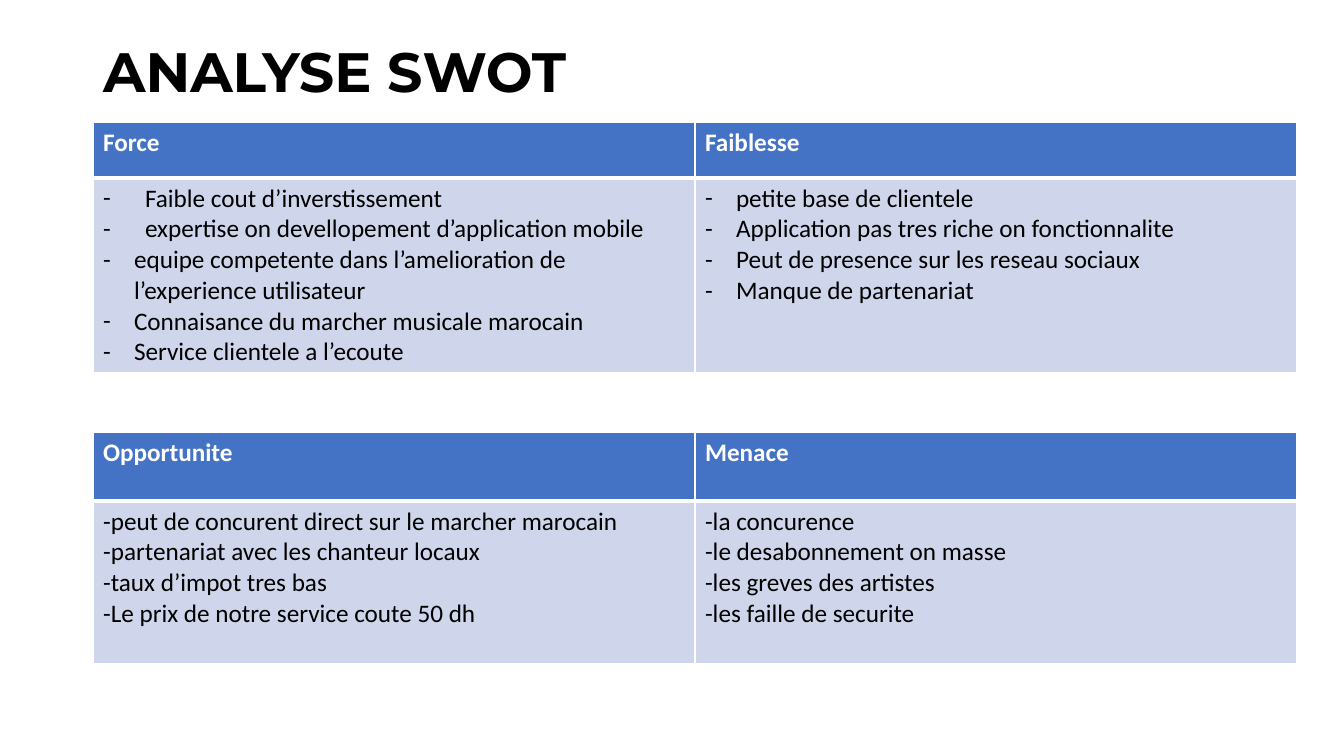
from lxml import etree
from pptx import Presentation
from pptx.dml.color import RGBColor
from pptx.enum.text import MSO_ANCHOR, PP_ALIGN
from pptx.oxml.ns import qn
from pptx.util import Pt

MIDDLE = MSO_ANCHOR.MIDDLE
LEFT = PP_ALIGN.LEFT
EMU_PER_PX = 914400 / 100.8
TITLE_ONLY = 5

WHITE, BLACK = "FFFFFF", "000000"
HEADER_BLUE, BODY_BLUE = "4472C4", "CFD5EA"

TABLE_LEFT = 93
COLUMN_WIDTH = 602
DASH_INDENT = 31
WIDE_DASH_INDENT = 42

# Each quadrant: heading, then (text, hanging indent of its dash bullet or 0)
FORCE = ("Force", [
    ("Faible cout d’inverstissement", WIDE_DASH_INDENT),
    ("expertise on devellopement d’application mobile", WIDE_DASH_INDENT),
    ("equipe competente dans l’amelioration de l’experience utilisateur", DASH_INDENT),
    ("Connaisance du marcher musicale marocain", DASH_INDENT),
    ("Service clientele a l’ecoute", DASH_INDENT),
])
FAIBLESSE = ("Faiblesse", [
    ("petite base de clientele", DASH_INDENT),
    ("Application pas tres riche on fonctionnalite", DASH_INDENT),
    ("Peut de presence sur les reseau sociaux", DASH_INDENT),
    ("Manque de partenariat", DASH_INDENT),
])
OPPORTUNITE = ("Opportunite", [
    ("-peut de concurent direct sur le marcher marocain", 0),
    ("-partenariat avec les chanteur locaux", 0),
    ("-taux d’impot tres bas", 0),
    ("-Le prix de notre service coute 50 dh", 0),
])
MENACE = ("Menace", [
    ("-la concurence", 0),
    ("-le desabonnement on masse", 0),
    ("-les greves des artistes", 0),
    ("-les faille de securite", 0),
])


def px(length):
    return round(length * EMU_PER_PX)


def color(hex_string):
    return RGBColor.from_string(hex_string)


def write(para, text, size=18, font="Calibri", fill=BLACK, bold=False, indent=0):
    """Fill a paragraph; an indent gives it a hanging dash bullet."""
    para.alignment = LEFT
    span = para.add_run()
    span.text = text
    span.font.size = Pt(size)
    span.font.name = font
    span.font.bold = bold
    span.font.color.rgb = color(fill)
    if indent:
        properties = para._p.get_or_add_pPr()
        properties.set("marL", str(px(indent)))
        properties.set("indent", str(-px(indent)))
        etree.SubElement(properties, qn("a:buFont")).set("typeface", font)
        etree.SubElement(properties, qn("a:buChar")).set("char", "-")


def add_title(page, text):
    title = page.shapes.title
    title.left, title.top, title.width, title.height = map(px, (93, 40, 1159, 69))
    title.text_frame.vertical_anchor = MIDDLE
    para = title.text_frame.paragraphs[0]
    para.line_spacing = 0.9
    write(para, text, size=39.6, font="Montserrat", bold=True)


def style_cell(cell, fill, top=1, bottom=1):
    """White borders, with widths in points, and a solid fill."""
    properties = cell._tc.get_or_add_tcPr()
    for side, width in (("L", 1), ("R", 1), ("T", top), ("B", bottom)):
        line = etree.SubElement(properties, qn(f"a:ln{side}"), w=str(Pt(width)))
        solid = etree.SubElement(line, qn("a:solidFill"))
        etree.SubElement(solid, qn("a:srgbClr")).set("val", WHITE)
    cell.fill.solid()
    cell.fill.fore_color.rgb = color(fill)


def add_quadrants(page, top, row_heights, quadrants):
    frame = page.shapes.add_table(
        2, len(quadrants), px(TABLE_LEFT), px(top),
        px(COLUMN_WIDTH * len(quadrants)), px(sum(row_heights)))
    table = frame.table
    for row, height in zip(table.rows, row_heights):
        row.height = px(height)

    for index, (heading, points) in enumerate(quadrants):
        table.columns[index].width = px(COLUMN_WIDTH)
        header, body = table.cell(0, index), table.cell(1, index)
        style_cell(header, HEADER_BLUE, bottom=3)
        style_cell(body, BODY_BLUE, top=3)
        write(header.text_frame.paragraphs[0], heading, fill=WHITE, bold=True)
        for number, (text, indent) in enumerate(points):
            box = body.text_frame
            para = box.add_paragraph() if number else box.paragraphs[0]
            write(para, text, indent=indent)


def main():
    deck = Presentation()
    deck.slide_width, deck.slide_height = px(1344), px(756)
    page = deck.slides.add_slide(deck.slide_layouts[TITLE_ONLY])

    add_title(page, "ANALYSE SWOT")
    # Internal factors above, external factors below
    add_quadrants(page, 122, (56, 194), (FORCE, FAIBLESSE))
    add_quadrants(page, 432, (69, 163), (OPPORTUNITE, MENACE))

    deck.save("out.pptx")


if __name__ == "__main__":
    main()
